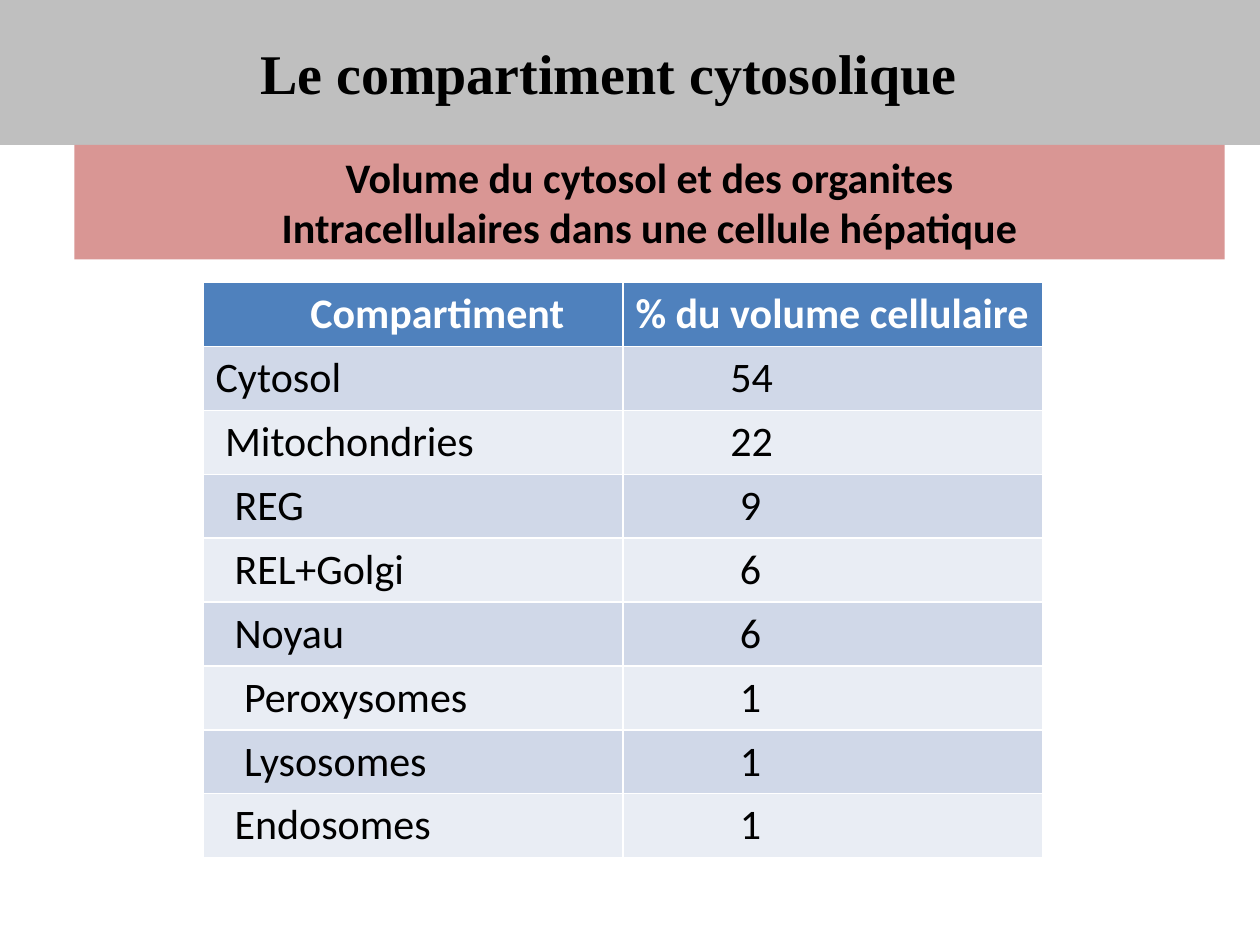
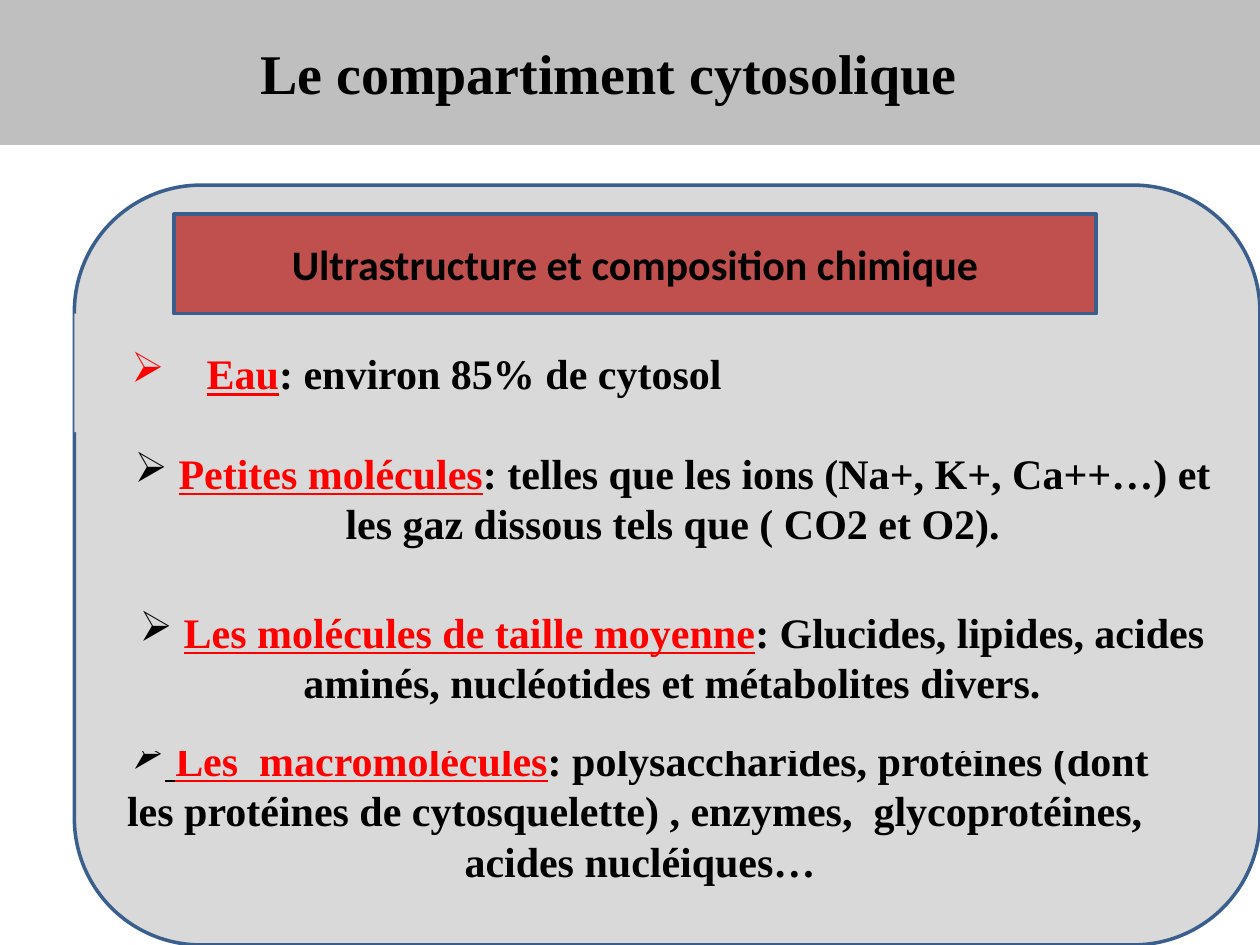
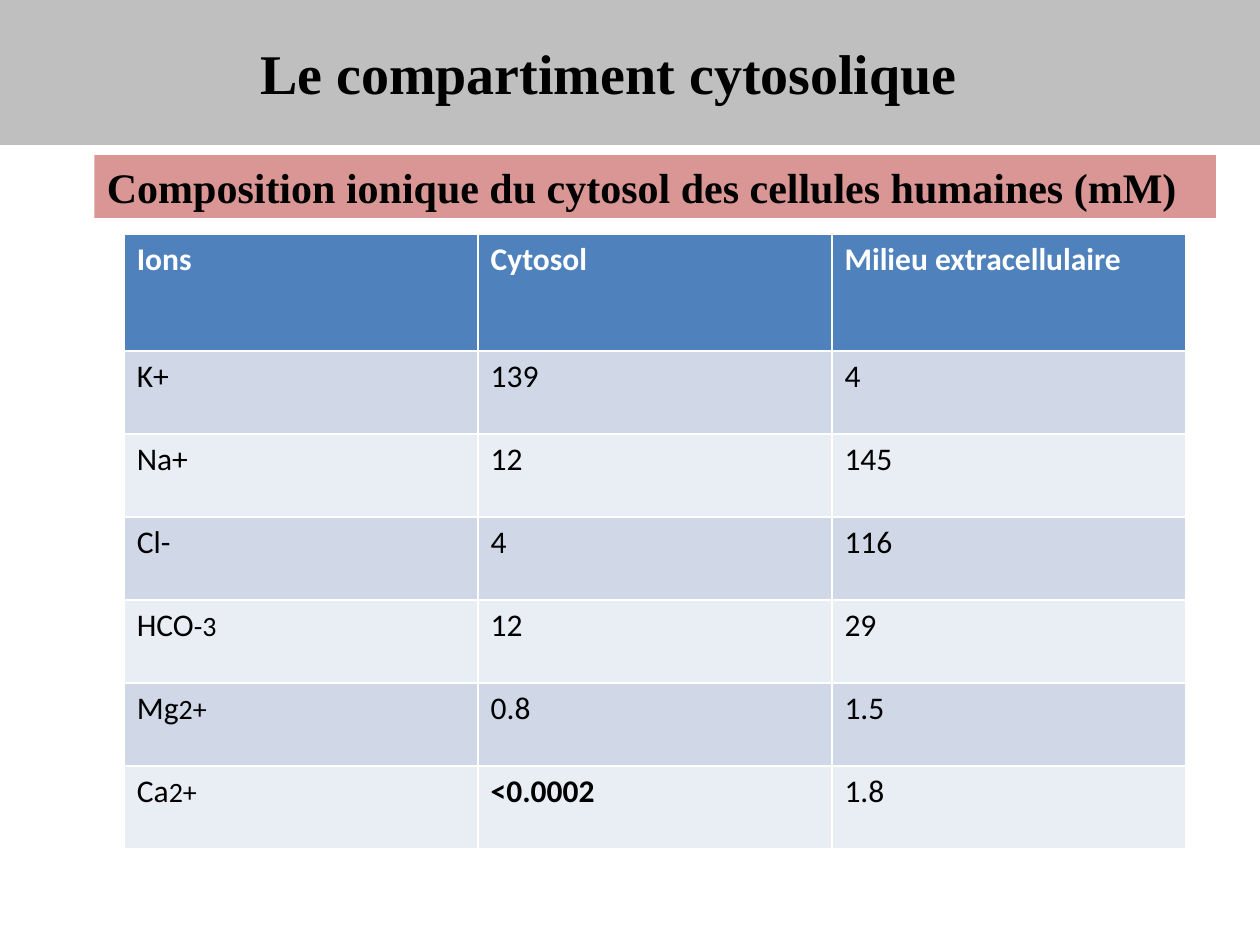
"""Build three slides on the cytosolic compartment."""
from lxml.etree import SubElement
from pptx import Presentation
from pptx.dml.color import RGBColor
from pptx.enum.shapes import MSO_SHAPE
from pptx.enum.text import MSO_ANCHOR, MSO_AUTO_SIZE, PP_ALIGN
from pptx.oxml.ns import qn
from pptx.util import Pt

BLACK = RGBColor(0, 0, 0)
WHITE = RGBColor(255, 255, 255)
RED = RGBColor(255, 0, 0)
GREY = RGBColor(0xBF, 0xBF, 0xBF)
PANEL = RGBColor(0xD9, 0xD9, 0xD9)
PINK = RGBColor(0xD9, 0x96, 0x94)
BRICK = RGBColor(0xC0, 0x50, 0x4D)
EDGE = RGBColor(0x3A, 0x5F, 0x8C)
HEADER = RGBColor(0x4F, 0x81, 0xBD)
STRIPES = RGBColor(0xD0, 0xD8, 0xE8), RGBColor(0xE9, 0xED, 0xF4)

SANS = {"name": "Calibri", "size": Pt(24), "bold": True}
SERIF = {**SANS, "name": "Times New Roman"}
TITLE_FONT = {**SERIF, "size": Pt(32)}
TERM = {"underline": True}
SMALL = {"size": Pt(16)}
INSET = 7.2
SPACE = 5.42

TITLE = "Le compartiment cytosolique"
VOLUME_HEAD = ["Volume du cytosol et des organites",
               "Intracellulaires dans une cellule hépatique"]
VOLUMES = [
    ["Compartiment", "% du volume cellulaire"],
    ["Cytosol", "54"],
    ["Mitochondries", "22"],
    ["REG", "9"],
    ["REL+Golgi", "6"],
    ["Noyau", "6"],
    ["Peroxysomes", "1"],
    ["Lysosomes", "1"],
    ["Endosomes", "1"],
]
VOLUME_STEPS = [(10, 0), (0, 10), (1, 10), (2, 11), (2, 11), (2, 11),
                (3, 11), (3, 11), (2, 11)]
CHEMISTRY_HEAD = "Ultrastructure et composition chimique"
MOLECULES = [
    ((42.5, 179.3, 402.5, 67.7), 43, "", {}, "Eau", ": environ 85% de cytosol"),
    ((59.8, 417.6, 612, 90.7), 0, " ", TERM, "Les  macromolécules",
     ": polysaccharides, protéines (dont les protéines de cytosquelette) , "
     "enzymes,  glycoprotéines,  acides nucléiques…"),
    ((65.5, 241.9, 637.9, 85), 0, " ", {}, "Petites molécules",
     ": telles que les ions (Na+, K+, Ca++…) et les gaz dissous tels que ( CO2 et O2)."),
    ((54, 321.1, 660.2, 108), 0, " ", {}, "Les molécules de taille moyenne",
     ": Glucides, lipides, acides aminés, nucléotides et métabolites divers."),
]
IONS_HEAD = "Composition ionique du cytosol des cellules humaines (mM)"
IONS = [
    ["Ions", "Cytosol", "Milieu extracellulaire"],
    ["K+", "139", "4"],
    ["Na+", "12", "145"],
    ["Cl-", "4", "116"],
    [[("HCO", {}), ("-3", SMALL)], "12", "29"],
    [[("Mg", {}), ("2+", SMALL)], "0.8", "1.5"],
    [[("Ca", {}), ("2+", SMALL)], [("<0.0002", {"bold": True})], "1.8"],
]


def add_runs(p, runs, font, color=BLACK):
    """Add runs, given as text or (text, changes) pairs, to a paragraph."""
    for text, changes in [(runs, {})] if isinstance(runs, str) else runs:
        r = p.add_run()
        r.text = text
        fmt = {**font, "color": color, **changes}
        r.font.color.rgb = fmt.pop("color")
        for key, value in fmt.items():
            setattr(r.font, key, value)


def add_box(s, at, fill, lines=(), font=SANS, align=PP_ALIGN.CENTER, line=None,
            kind=MSO_SHAPE.RECTANGLE, anchor=MSO_ANCHOR.MIDDLE):
    """Add a filled shape with one paragraph for each line."""
    sp = s.shapes.add_shape(kind, *map(Pt, at))
    sp.shadow.inherit = False
    sp.fill.solid()
    sp.fill.fore_color.rgb = fill
    if line:
        sp.line.color.rgb, sp.line.width = line, Pt(2)
    else:
        sp.line.fill.background()
    tf = sp.text_frame
    tf.word_wrap, tf.vertical_anchor = True, anchor
    for i, runs in enumerate(lines):
        p = tf.add_paragraph() if i else tf.paragraphs[0]
        p.alignment = align
        add_runs(p, runs, font)
    return sp


def add_bullet(p, hang):
    """Give a paragraph an arrow bullet and a hanging indent."""
    pr = p._p.get_or_add_pPr()
    pr.set("marL", str(Pt(hang)))
    pr.set("indent", str(-Pt(hang)))
    SubElement(pr, qn("a:buChar")).set("char", "➢")


def add_grid(s, rows, at, heights, size, steps=None):
    """Add a striped table; steps indent each cell by a number of spaces."""
    left, top, width = at
    table = s.shapes.add_table(len(rows), len(rows[0]), Pt(left), Pt(top),
                               Pt(width), Pt(sum(heights))).table
    for col in table.columns:
        col.width = Pt(width / len(rows[0]))
    for i, row in enumerate(rows):
        table.rows[i].height = Pt(heights[i])
        for j, runs in enumerate(row):
            cell = table.cell(i, j)
            cell.fill.solid()
            cell.fill.fore_color.rgb = STRIPES[(i - 1) % 2] if i else HEADER
            if steps:
                cell.margin_left = Pt(INSET + SPACE * steps[i][j])
            add_runs(cell.text_frame.paragraphs[0], runs,
                     {**SANS, "size": Pt(size), "bold": i == 0},
                     BLACK if i else WHITE)


def new_slide(prs):
    """Add a slide with the grey title band."""
    s = prs.slides.add_slide(prs.slide_layouts[5])
    sp = s.shapes.title
    sp.left, sp.top, sp.width, sp.height = Pt(0), Pt(0), Pt(720), Pt(82.8)
    sp.fill.solid()
    sp.fill.fore_color.rgb = GREY
    tf = sp.text_frame
    tf.auto_size, tf.vertical_anchor = MSO_AUTO_SIZE.NONE, MSO_ANCHOR.MIDDLE
    tf.margin_right = Pt(INSET + 24)
    tf.paragraphs[0].alignment = PP_ALIGN.CENTER
    add_runs(tf.paragraphs[0], TITLE, TITLE_FONT)
    return s


def main():
    """Build and save the slides."""
    prs = Presentation()
    prs.slide_width, prs.slide_height = Pt(720), Pt(540)

    s = new_slide(prs)
    add_grid(s, VOLUMES, (116, 161.5, 480), [36.4] * len(VOLUMES), 24, VOLUME_STEPS)
    add_box(s, (42.5, 82.8, 657.4, 65.5), PINK, VOLUME_HEAD, anchor=MSO_ANCHOR.TOP)

    s = new_slide(prs)
    add_box(s, (42.5, 105.8, 677.5, 434.2), PANEL, line=EDGE,
            kind=MSO_SHAPE.ROUNDED_RECTANGLE)
    for at, hang, gap, gap_font, term, text in MOLECULES:
        runs = [(gap, gap_font)] if gap else []
        runs += [(term, {**TERM, "color": RED}), (text, {})]
        sp = add_box(s, at, PANEL, [runs], SERIF)
        add_bullet(sp.text_frame.paragraphs[0], hang)
    add_box(s, (99.4, 122.4, 527, 56.9), BRICK, [CHEMISTRY_HEAD], line=EDGE)

    s = new_slide(prs)
    add_grid(s, IONS, (71, 134, 606.6), [66.6] + [47.45] * (len(IONS) - 1), 18)
    add_box(s, (54, 88.6, 640.8, 36), PINK, [IONS_HEAD], SERIF, PP_ALIGN.LEFT,
            anchor=MSO_ANCHOR.TOP)

    prs.save("out.pptx")


if __name__ == "__main__":
    main()
